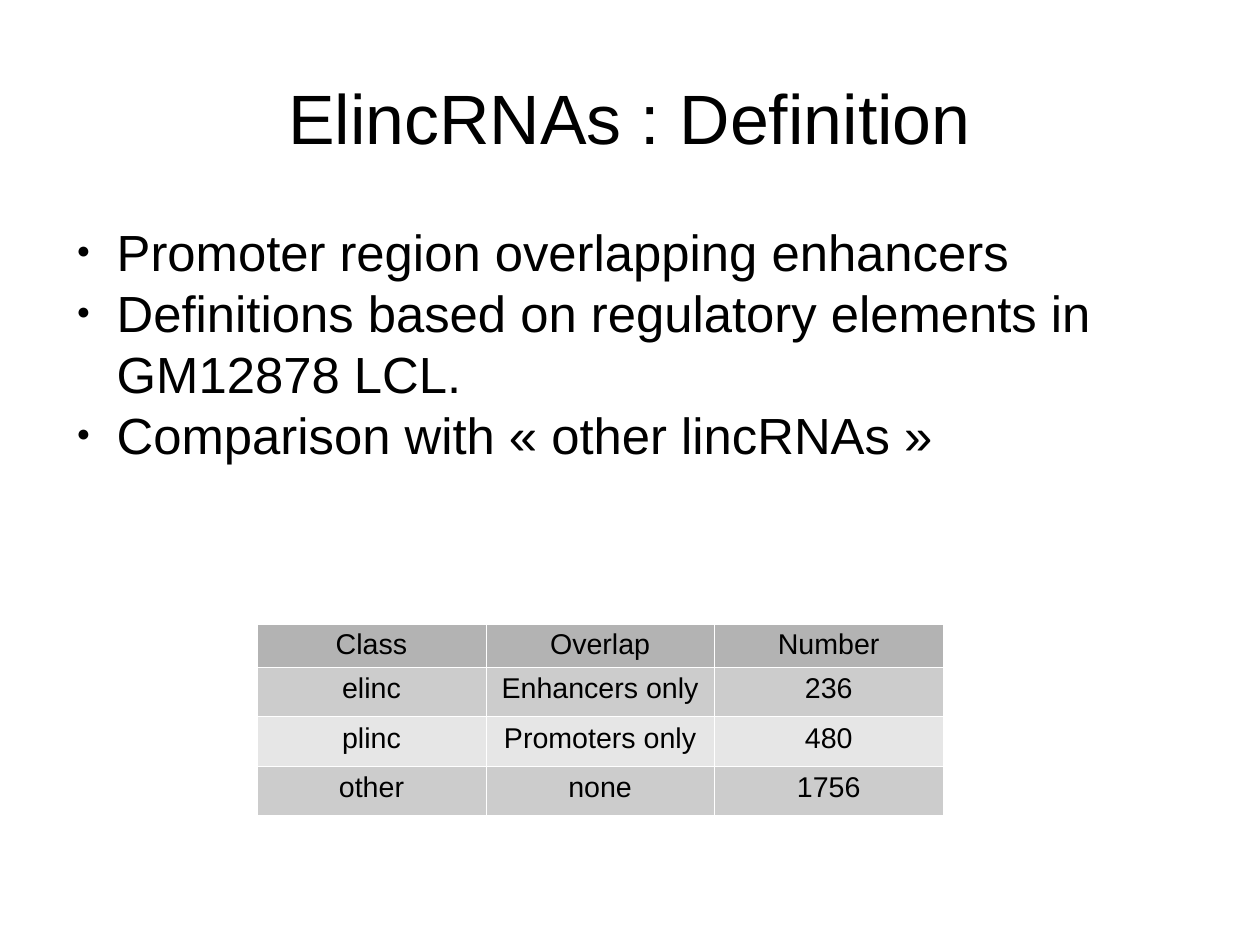
from lxml.etree import SubElement as Sub
from pptx import Presentation
from pptx.dml.color import RGBColor as RGB
from pptx.enum.text import MSO_ANCHOR as Anchor, PP_ALIGN as Align
from pptx.oxml.ns import qn
from pptx.util import Cm, Inches, Pt

BLACK = RGB(0, 0, 0)
WHITE = RGB(255, 255, 255)
HEAD = RGB(0xB3, 0xB3, 0xB3)
DARK = RGB(0xCC, 0xCC, 0xCC)
LIGHT = RGB(0xE6, 0xE6, 0xE6)
FONT = "Arial"

TITLE = "ElincRNAs\u00a0: Definition".replace("\u00a0", chr(160))
POINTS = [
    "Promoter region overlapping enhancers",
    "Definitions based on regulatory elements in GM12878 LCL.",
    "Comparison with « other lincRNAs »",
]
ROWS = [
    ["Class", "Overlap", "Number"],
    ["elinc", "Enhancers only", "236"],
    ["plinc", "Promoters only", "480"],
    ["other", "none", "1756"],
]


def write(para, text, size=18, font=FONT, color=BLACK, align=Align.LEFT):
    run = para.add_run()
    run.text = text
    run.font.size = Pt(size)
    run.font.name = font
    run.font.color.rgb = color
    para.alignment = align


def bullet(para):
    props = para._p.get_or_add_pPr()
    props.set("marL", str(Inches(0.47)))
    props.set("indent", str(Inches(-0.35)))
    tint = Sub(props, qn("a:buClr"))
    Sub(tint, qn("a:srgbClr"), val=str(BLACK))
    Sub(props, qn("a:buSzPct"), val="45000")
    Sub(props, qn("a:buFont"), typeface=FONT)
    Sub(props, qn("a:buChar"), char="●")


def border(cell):
    props = cell._tc.get_or_add_tcPr()
    for at, side in enumerate(("lnL", "lnR", "lnT", "lnB")):
        line = Sub(props, qn("a:" + side), w=str(Pt(0.06)))
        fill = Sub(line, qn("a:solidFill"))
        Sub(fill, qn("a:srgbClr"), val=str(WHITE))
        props.insert(at, line)


class Page:
    def __init__(self, deck):
        self.wide, self.high = deck.slide_width, deck.slide_height
        self.slide = deck.slides.add_slide(deck.slide_layouts[6])
        self.shapes = self.slide.shapes

    def area(self, left, top, width, height):
        return (int(left * self.wide / 100), int(top * self.high / 100),
                int(width * self.wide / 100), int(height * self.high / 100))

    def frame(self, *share, anchor=Anchor.TOP):
        frame = self.shapes.add_textbox(*self.area(*share)).text_frame
        frame.word_wrap = True
        frame.vertical_anchor = anchor
        frame.margin_left = frame.margin_right = 0
        frame.margin_top = frame.margin_bottom = 0
        return frame

    def title(self, text, *share):
        frame = self.frame(*share, anchor=Anchor.MIDDLE)
        write(frame.paragraphs[0], text, size=44, align=Align.CENTER)

    def points(self, items, *share):
        frame = self.frame(*share)
        for at, item in enumerate(items):
            para = frame.add_paragraph() if at else frame.paragraphs[0]
            bullet(para)
            write(para, item, size=32)

    def table(self, rows, *share):
        grid = self.shapes.add_table(len(rows), len(rows[0]), *self.area(*share)).table
        for at, row in enumerate(rows):
            grid.rows[at].height = Inches(0.43 if at else 0.38)
            shade = (DARK if at % 2 else LIGHT) if at else HEAD
            for col, text in enumerate(row):
                cell = grid.cell(at, col)
                cell.margin_top = cell.margin_bottom = Inches(0.05 if at else 0.04)
                cell.fill.solid()
                cell.fill.fore_color.rgb = shade
                border(cell)
                write(cell.text_frame.paragraphs[0], text, align=Align.CENTER)


def main():
    deck = Presentation()
    deck.slide_width, deck.slide_height = Cm(28), Cm(21)
    page = Page(deck)
    page.title(TITLE, 5, 3.99, 90, 16.69)
    page.points(POINTS, 5, 23.34, 90, 57.92)
    page.table(ROWS, 20.41, 66.02, 54.43, 20.2)
    deck.save("out.pptx")


if __name__ == "__main__":
    main()
